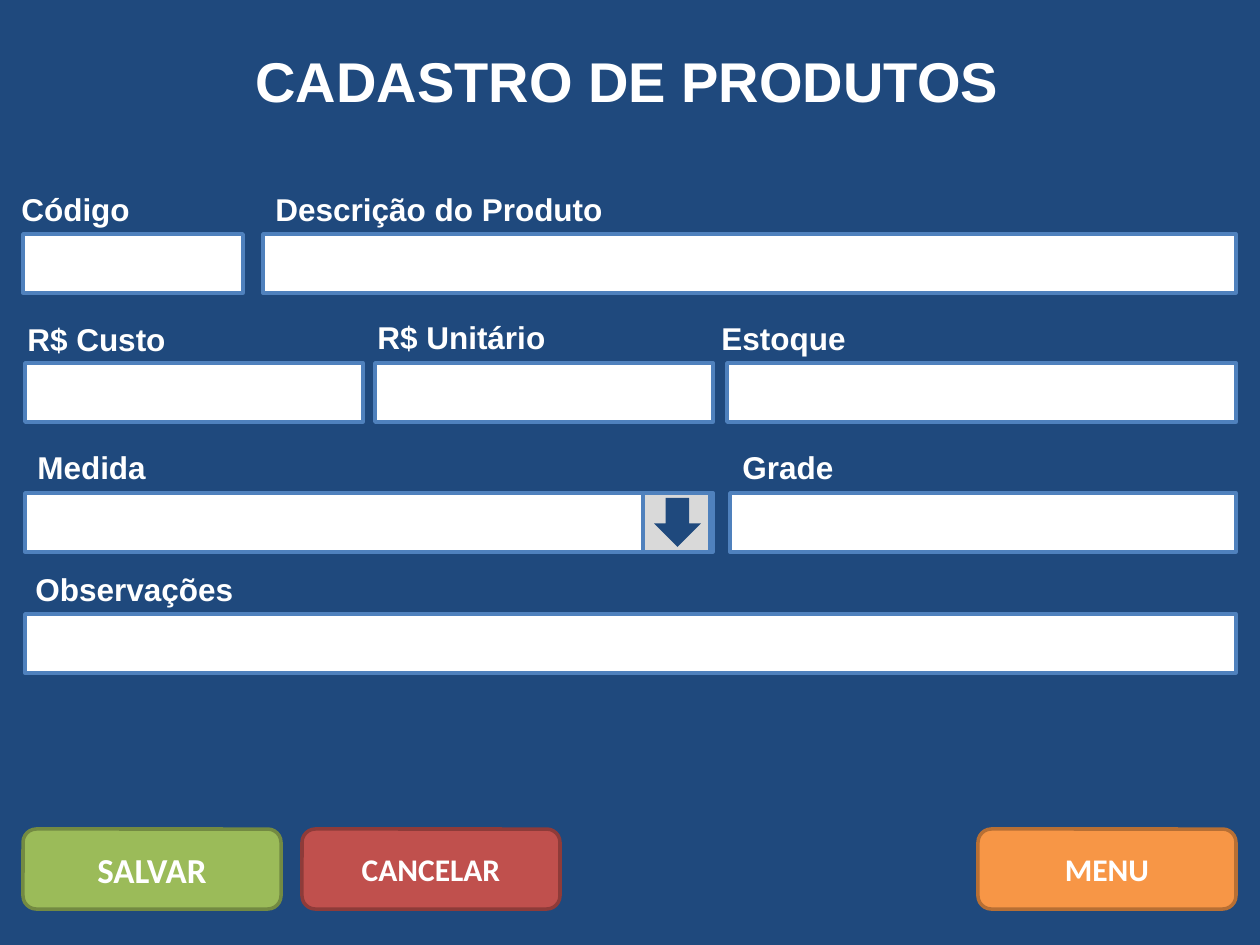
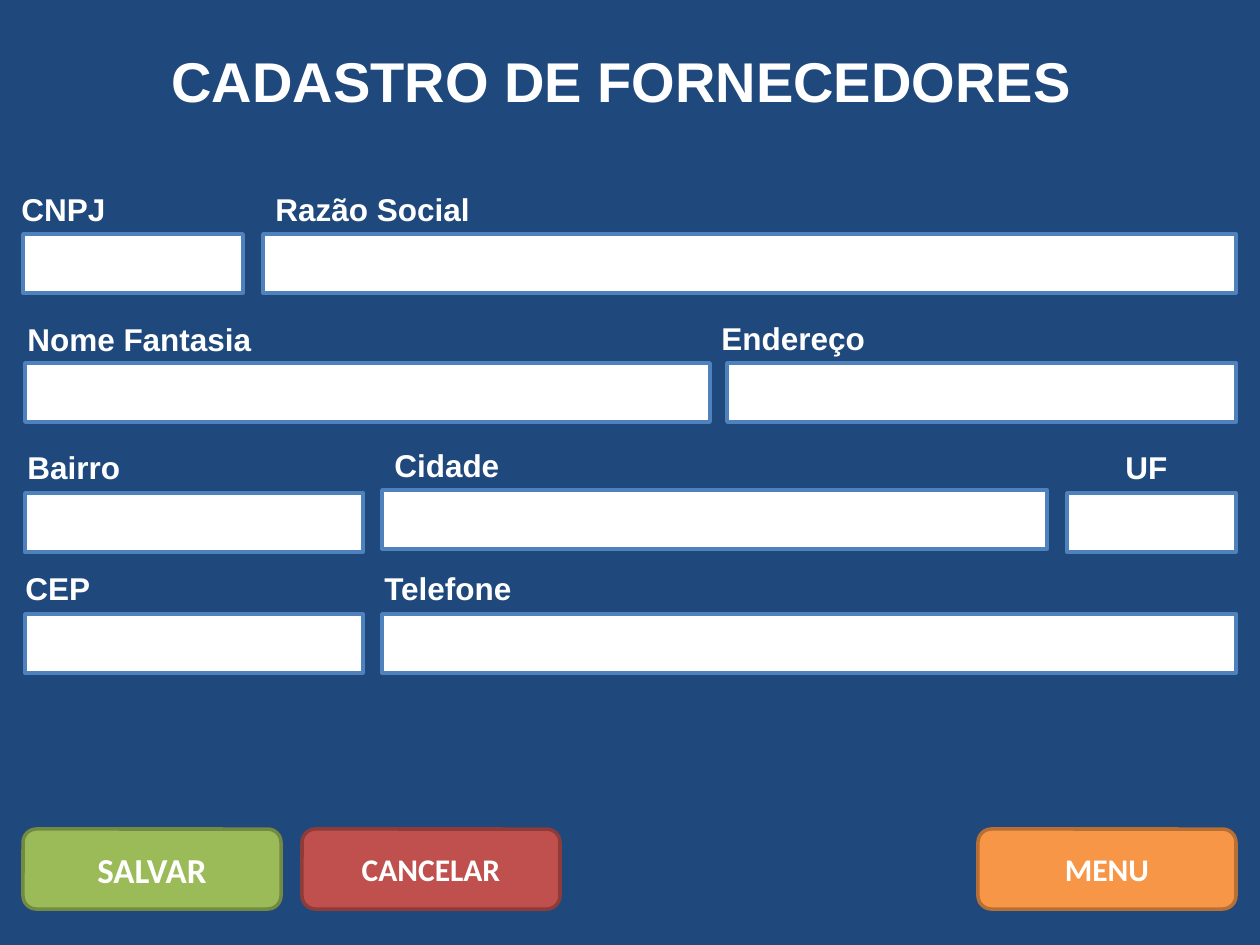
"""Build the product and supplier registration screens."""
from pptx import Presentation
from pptx.dml.color import RGBColor
from pptx.enum import shapes, text
from pptx.util import Emu, Pt

PX = 914400 / 126
COLORS = {
    "navy": "1F497D", "white": "FFFFFF", "blue": "4F81BD", "grey": "D9D9D9",
    "green": "9BBB59", "dark_green": "738A42", "red": "C0504D",
    "dark_red": "8E3B39", "orange": "F79646", "dark_orange": "B76F34",
}
SHAPE = shapes.MSO_SHAPE
LEFT, CENTER = text.PP_ALIGN.LEFT, text.PP_ALIGN.CENTER
MIDDLE, TOP = text.MSO_ANCHOR.MIDDLE, text.MSO_ANCHOR.TOP
FIELD_H, LABEL_H = 59, 50
ROWS = (234, 363, 493, 614)
RIGHT = 1236
BUTTONS = (
    ("SALVAR", 23, "green", "dark_green", 20),
    ("CANCELAR", 302, "red", "dark_red", 18),
    ("MENU", 978, "orange", "dark_orange", 18),
)
# Each field: label, its left, top and width, then the box left, top and right.
PRODUCT_FIELDS = (
    ("Código", (9, 184, 234), (23, ROWS[0], 243)),
    ("Descrição do Produto", (263, 184, 357), (263, ROWS[0], RIGHT)),
    ("R$ Custo", (15, 314, 277), (25, ROWS[1], 363)),
    ("R$ Unitário", (365, 312, 277), (375, ROWS[1], 713)),
    ("Estoque", (709, 313, 207), (727, ROWS[1], RIGHT)),
    ("Medida", (25, 442, 277), (25, ROWS[2], 713)),
    ("Grade", (730, 442, 277), (730, ROWS[2], RIGHT)),
    ("Observações", (23, 564, 277), (25, ROWS[3], RIGHT)),
)
SUPPLIER_FIELDS = (
    ("CNPJ", (9, 184, 234), (23, ROWS[0], 243)),
    ("Razão Social", (263, 184, 357), (263, ROWS[0], RIGHT)),
    ("Nome Fantasia", (15, 314, 277), (25, ROWS[1], 710)),
    ("Endereço", (709, 313, 207), (727, ROWS[1], RIGHT)),
    ("Bairro", (15, 442, 277), (25, ROWS[2], 363)),
    ("Cidade", (382, 440, 277), (382, ROWS[2] - 3, 1047)),
    ("UF", (1057, 442, 179), (1067, ROWS[2], RIGHT)),
    ("CEP", (13, 563, 277), (25, ROWS[3], 363)),
    ("Telefone", (372, 563, 277), (382, ROWS[3], RIGHT)),
)


def px(*lengths):
    """Turn pixel lengths into EMU."""
    return [Emu(round(n * PX)) for n in lengths]


def rgb(name):
    """Return a named colour."""
    return RGBColor.from_string(COLORS[name])


def write(sp, words, size, font, align, anchor):
    """Write one bold white line into a shape."""
    tf = sp.text_frame
    tf.word_wrap = True
    tf.vertical_anchor = anchor
    p = tf.paragraphs[0]
    p.alignment = align
    r = p.add_run()
    r.text = words
    r.font.size, r.font.name, r.font.bold = Pt(size), font, True
    r.font.color.rgb = rgb("white")


def add_box(slide, kind, at, fill, line=None):
    """Add a filled preset shape, outlined if a line colour is given."""
    sp = slide.shapes.add_shape(kind, *px(*at))
    sp.shadow.inherit = False
    sp.fill.solid()
    sp.fill.fore_color.rgb = rgb(fill)
    if line:
        sp.line.color.rgb = rgb(line)
        sp.line.width = Pt(2)
    else:
        sp.line.fill.background()
    return sp


def add_label(slide, words, at, size=18, align=LEFT, anchor=TOP):
    """Add a text box in the label style."""
    sp = slide.shapes.add_textbox(*px(*at))
    write(sp, words, size, "Arial", align, anchor)
    sp.text_frame.auto_size = text.MSO_AUTO_SIZE.SHAPE_TO_FIT_TEXT


def add_field(slide, words, label, box):
    """Add an input box and its label."""
    left, top, right = box
    add_box(slide, SHAPE.RECTANGLE, (left, top, right - left, FIELD_H), "white", "blue")
    add_label(slide, words, (*label, LABEL_H), align=CENTER if words == "UF" else LEFT)


def add_dropdown(slide, left, top):
    """Add the drop-down handle of a list field."""
    add_box(slide, SHAPE.RECTANGLE, (left, top, 67, FIELD_H), "grey", "blue")
    add_box(slide, SHAPE.DOWN_ARROW, (left + 11, top + 5, 47, 49), "navy")


def add_button(slide, words, left, fill, line, size):
    """Add a rounded button to the bottom row."""
    sp = add_box(slide, SHAPE.ROUNDED_RECTANGLE, (left, 829, 258, 80), fill, line)
    write(sp, words, size, "Calibri", CENTER, MIDDLE)


def add_screen(prs, title, title_left, fields):
    """Add a form slide with its title, fields and buttons."""
    slide = prs.slides.add_slide(prs.slide_layouts[6])
    slide.background.fill.solid()
    slide.background.fill.fore_color.rgb = rgb("navy")
    add_label(slide, title, (title_left, 40, 1260 - 2 * title_left, 81), 32, anchor=MIDDLE)
    for field in fields:
        add_field(slide, *field)
    for button in BUTTONS:
        add_button(slide, *button)
    return slide


def main():
    """Build and save both screens."""
    prs = Presentation()
    prs.slide_width, prs.slide_height = px(1260, 945)
    products = add_screen(prs, "CADASTRO DE PRODUTOS", 243, PRODUCT_FIELDS)
    add_dropdown(products, 643, ROWS[2])
    add_screen(prs, "CADASTRO DE FORNECEDORES", 159, SUPPLIER_FIELDS)
    prs.save("out.pptx")


main()
